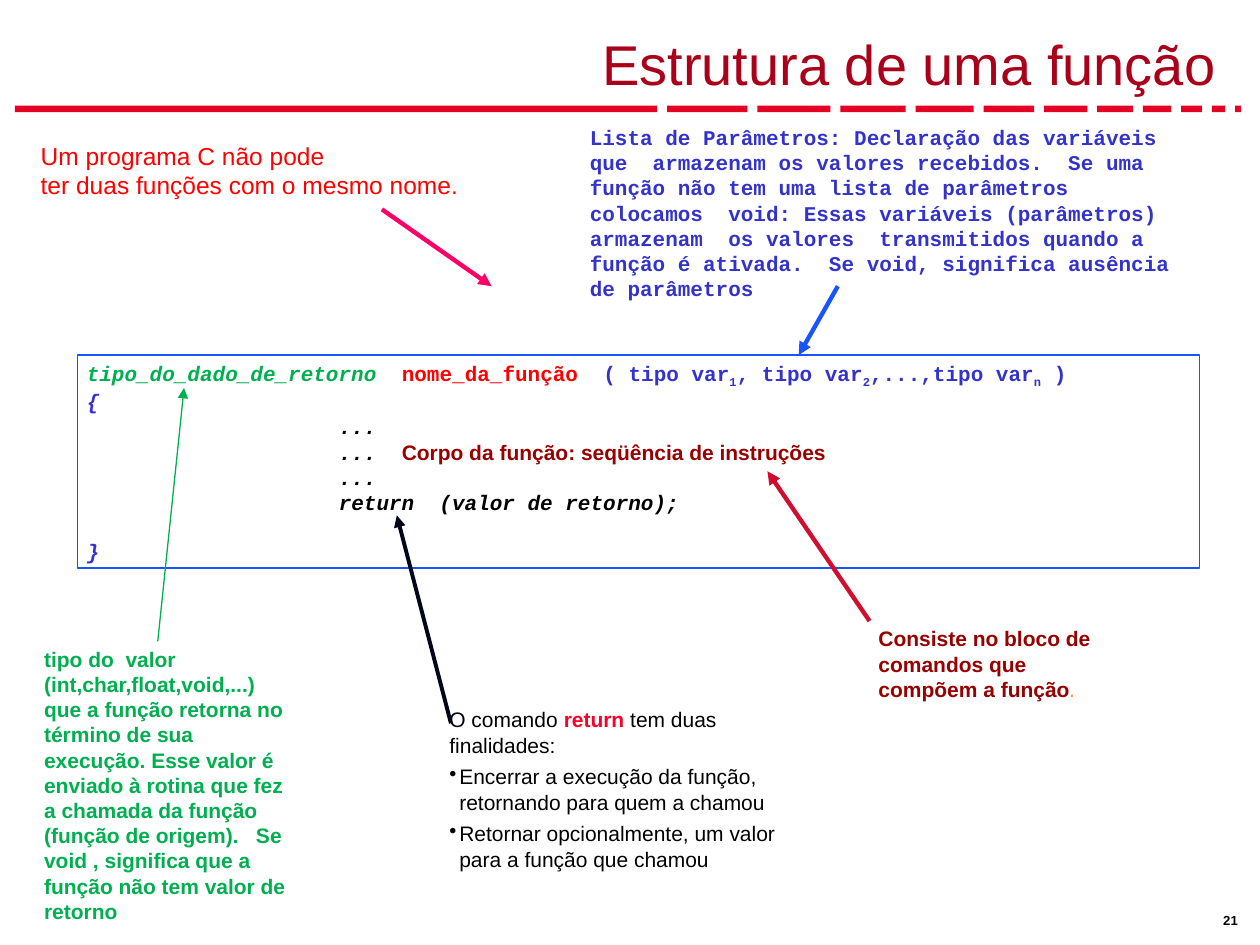
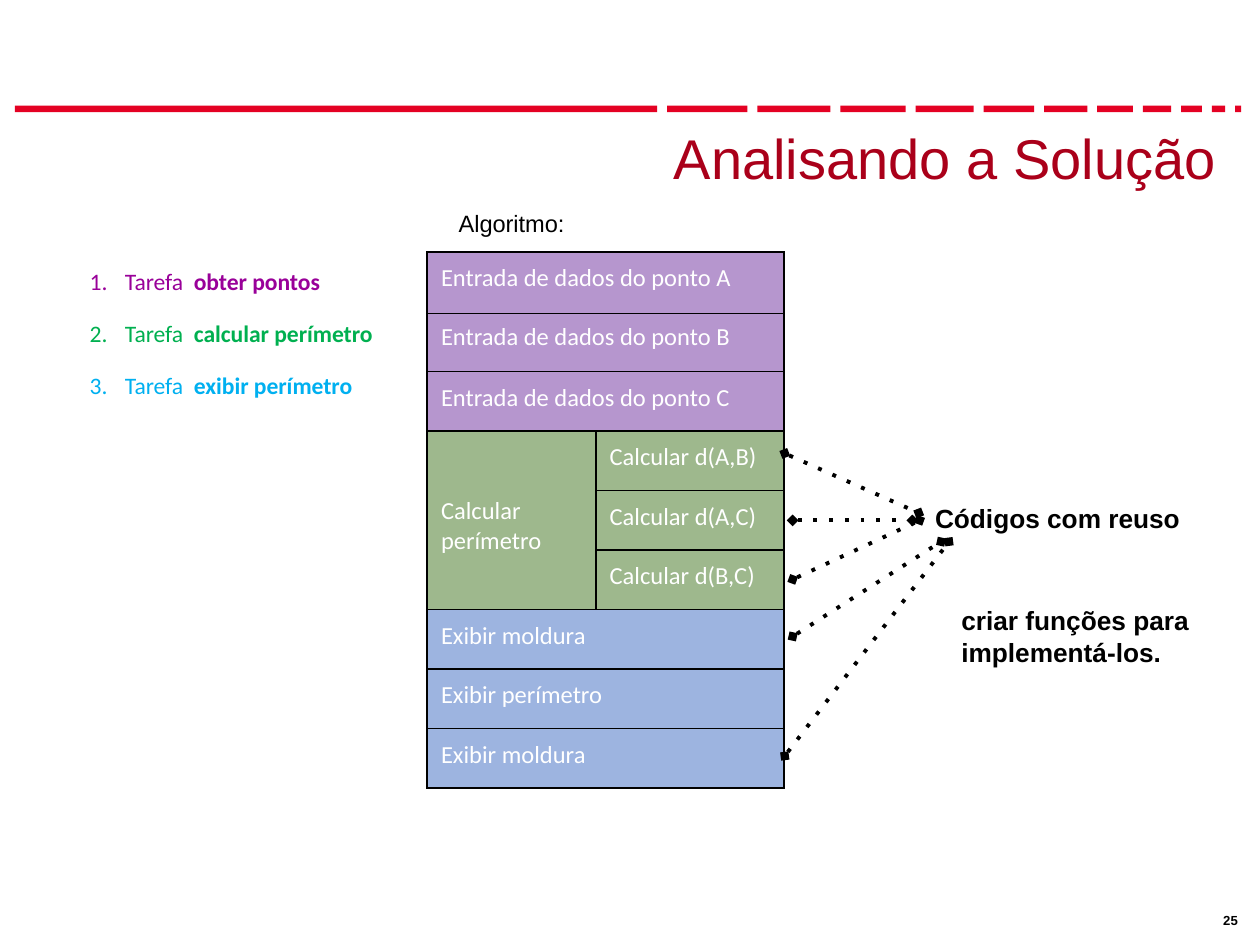
from lxml import etree
from pptx import Presentation
from pptx.dml.color import RGBColor
from pptx.enum.shapes import MSO_CONNECTOR, MSO_SHAPE
from pptx.enum.text import MSO_ANCHOR, PP_ALIGN
from pptx.oxml.ns import qn
from pptx.util import Cm, Pt

RECT = MSO_SHAPE.RECTANGLE
STRAIGHT = MSO_CONNECTOR.STRAIGHT
TOP, MIDDLE, BOTTOM = MSO_ANCHOR.TOP, MSO_ANCHOR.MIDDLE, MSO_ANCHOR.BOTTOM
LEFT, RIGHT = PP_ALIGN.LEFT, PP_ALIGN.RIGHT

ARIAL, CALIBRI, COURIER = "Arial", "Calibri", "Courier New"

BLACK = RGBColor(0x00, 0x00, 0x00)
WHITE = RGBColor(0xFF, 0xFF, 0xFF)
BAND_RED = RGBColor(0xE4, 0x01, 0x23)
TITLE_RED = RGBColor(0xAA, 0x00, 0x1A)
RED = RGBColor(0xFF, 0x00, 0x00)
KEYWORD_RED = RGBColor(0xFC, 0x01, 0x28)
ARROW_RED = RGBColor(0xCF, 0x0E, 0x30)
MAROON = RGBColor(0x99, 0x00, 0x00)
PINK = RGBColor(0xFF, 0x00, 0x66)
ORANGE = RGBColor(0xFF, 0x99, 0x33)
GREEN = RGBColor(0x00, 0xB0, 0x50)
BLUE = RGBColor(0x19, 0x55, 0xFF)
INDIGO = RGBColor(0x33, 0x33, 0xCC)
NAVY = RGBColor(0x00, 0x07, 0x1A)
PURPLE = RGBColor(0x99, 0x00, 0x99)
SKY = RGBColor(0x00, 0xB0, 0xF0)
INPUT_FILL = RGBColor(0x6F, 0x2F, 0x9F)
COMPUTE_FILL = RGBColor(0x53, 0x82, 0x35)
SHOW_FILL = RGBColor(0x44, 0x71, 0xC4)


def add_xml(parent, tag, **attrs):
    return etree.SubElement(parent, qn(tag), attrs)


def set_insets(tf, side=0.18, edge=0.1):
    tf.margin_left = tf.margin_right = Cm(side)
    tf.margin_top = tf.margin_bottom = Cm(edge)


def add_run(p, text, size, color, font=ARIAL, bold=False, italic=False, base=0):
    r = p.add_run()
    r.text = text
    f = r.font
    f.size, f.name, f.bold, f.italic = Pt(size), font, bold, italic
    f.color.rgb = color
    if base:
        f._element.set("baseline", str(base * 1000))


def add_text(slide, box, lines, size, color, font=ARIAL, bold=False,
             align=LEFT, anchor=TOP, side=0.18):
    sp = slide.shapes.add_textbox(*map(Cm, box))
    tf = sp.text_frame
    tf.word_wrap = True
    tf.vertical_anchor = anchor
    set_insets(tf, side)
    for i, line in enumerate(lines):
        p = tf.add_paragraph() if i else tf.paragraphs[0]
        p.alignment = align
        add_run(p, line, size, color, font, bold)
    return tf


def add_line(slide, box, ends, color, width, dash=None, head=None, tail=None):
    x, y = box[:2]
    x1, y1, x2, y2 = ends
    c = slide.shapes.add_connector(
        STRAIGHT, Cm(x + x1), Cm(y + y1), Cm(x + x2), Cm(y + y2))
    c.line.color.rgb = color
    c.line.width = Pt(width)
    sp_pr = c._element.spPr
    ln = sp_pr.find(qn("a:ln"))
    if dash:
        add_xml(ln, "a:prstDash", val=dash)
    if head:
        add_xml(ln, "a:headEnd", type=head)
    if tail:
        add_xml(ln, "a:tailEnd", type=tail)
    add_xml(sp_pr, "a:effectLst")


def set_bullet(p, color, tag, indent, **attrs):
    p_pr = p._p.get_or_add_pPr()
    p_pr.set("marL", str(Cm(indent)))
    p_pr.set("indent", str(-Cm(indent)))
    add_xml(add_xml(p_pr, "a:buClr"), "a:srgbClr", val=str(color))
    add_xml(p_pr, tag, **attrs)


def add_band(slide, box):
    x, y, first, height = box
    widths = [first] + [1.62 - 0.15 * i for i in range(11)]
    for width in widths:
        sp = slide.shapes.add_shape(RECT, Cm(x), Cm(y), Cm(width), Cm(height))
        sp.shadow.inherit = False
        sp.fill.solid()
        sp.fill.fore_color.rgb = BAND_RED
        sp.line.fill.background()
        x += width + 0.2


def new_slide(prs, title, title_box, number):
    slide = prs.slides.add_slide(prs.slide_layouts[6])
    add_band(slide, (0.3, 2.13, 12.95, 0.13))
    add_text(slide, (24.46, 18.29, 0.84, 0.51), [number], 7.5, BLACK,
             bold=True, side=0.2)
    add_text(slide, title_box, [title], 32, TITLE_RED,
             align=RIGHT, anchor=BOTTOM, side=0.2)
    return slide


def add_code_panel(slide, box):
    sp = slide.shapes.add_shape(RECT, *map(Cm, box))
    sp.shadow.inherit = False
    sp.fill.background()
    sp.line.color.rgb = BLUE
    sp.line.width = Pt(0.75)
    tf = sp.text_frame
    tf.word_wrap = True
    tf.vertical_anchor = TOP
    set_insets(tf)

    def code(p, text, color, italic=True, base=0):
        add_run(p, text, 12, color, COURIER, True, italic, base)

    p = tf.paragraphs[0]
    p.alignment = LEFT
    code(p, "tipo_do_dado_de_retorno  ", GREEN)
    code(p, "nome_da_função  ", RED, False)
    for text, sub in (("( tipo var", "1"), (", tipo var", "2"), (",...,tipo var", "n")):
        code(p, text, INDIGO, False)
        code(p, sub, INDIGO, False, -25)
    code(p, " )", INDIGO, False)

    body = ["...", "...\t", "...", "return  (valor de retorno);"]
    for text in ["{", *body, "}"]:
        p = tf.add_paragraph()
        p.alignment = LEFT
        if text in body:
            p_pr = p._p.get_or_add_pPr()
            p_pr.set("marL", str(Cm(5.08)))
            p_pr.set("indent", "0")
            if text.endswith("\t"):
                tabs = add_xml(p_pr, "a:tabLst")
                add_xml(tabs, "a:tab", pos=str(Cm(7.62)), algn="l")
        code(p, text, BLACK if text in body else INDIGO)
        if text.endswith("\t"):
            add_run(p, "Corpo da função: seqüência de instruções", 12, MAROON, bold=True)
    p.space_before = Pt(13.6)


def add_callout(slide, box, lines, color, size, ends, arrow_color, width,
                font=ARIAL, bold=True):
    tf = add_text(slide, box, lines, size, color, font, bold)
    add_line(slide, box, ends, arrow_color, width, tail="triangle")
    return tf


def add_return_note(slide, box):
    items = ["Encerrar a execução da função, retornando para quem a chamou",
             "Retornar opcionalmente, um valor para a função que chamou"]
    tf = add_text(slide, box, ["O comando "], 12, BLACK, side=0.2)
    p = tf.paragraphs[0]
    add_run(p, "return", 12, KEYWORD_RED, bold=True)
    add_run(p, " tem duas finalidades:", 12, BLACK)
    for item in items:
        p = tf.add_paragraph()
        set_bullet(p, BLACK, "a:buChar", 0.2, char="•")
        p.space_before = Pt(3.8)
        add_run(p, item, 12, BLACK)
    add_line(slide, box, (0.23, 0.43, -0.86, -3.76), NAVY, 2.25, tail="triangle")


def style_cell(cell, fill, opacity):
    cell.fill.solid()
    cell.fill.fore_color.rgb = fill
    tc_pr = cell._tc.get_or_add_tcPr()
    add_xml(tc_pr.find(".//" + qn("a:srgbClr")), "a:alpha", val=str(opacity * 1000))
    for i, tag in enumerate(("a:lnL", "a:lnR", "a:lnT", "a:lnB")):
        ln = etree.Element(qn(tag), w=str(Pt(1)))
        add_xml(add_xml(ln, "a:solidFill"), "a:srgbClr", val=str(BLACK))
        tc_pr.insert(i, ln)


def add_algorithm(slide, box):
    purple, green, blue = (INPUT_FILL, 50), (COMPUTE_FILL, 56), (SHOW_FILL, 52)
    rows = [("Entrada de dados do ponto A", "", purple),
            ("Entrada de dados do ponto B", "", purple),
            ("Entrada de dados do ponto C", "", purple),
            ("Calcular perímetro", "Calcular d(A,B)", green),
            ("", "Calcular d(A,C)", green),
            ("", "Calcular d(B,C)", green),
            ("Exibir moldura", "", blue),
            ("Exibir perímetro", "", blue),
            ("Exibir moldura", "", blue)]
    heights = [1.24, 1.17] + [1.2] * 7
    x, y, w, h = box
    add_text(slide, (x - 1.6, y - 0.97, 4.55, 0.76), ["Algoritmo:"], 13.5, BLACK,
             align=RIGHT)
    table = slide.shapes.add_table(len(rows), 2, *map(Cm, box)).table
    table.first_row = table.horz_banding = False
    table.columns[0].width, table.columns[1].width = Cm(3.4), Cm(w - 3.4)
    for i, (left, right, paint) in enumerate(rows):
        table.rows[i].height = Cm(heights[i])
        for j, text in enumerate((left, right)):
            cell = table.cell(i, j)
            style_cell(cell, *paint)
            cell.margin_left, cell.margin_top = Cm(0.28), Cm(0.18 if i == 1 else 0.23)
            cell.margin_right = cell.margin_bottom = 0
            if text:
                add_run(cell.text_frame.paragraphs[0], text, 14, WHITE, CALIBRI)
        if not right:
            table.cell(i, 0).merge(table.cell(i, 1))
    table.cell(3, 0).merge(table.cell(5, 0))
    table.cell(3, 0).vertical_anchor = MIDDLE


def add_tasks(slide, box):
    x, y, w, h = box
    tasks = [("obter pontos", PURPLE), ("calcular perímetro", GREEN),
             ("exibir perímetro", SKY)]
    for i, (task, color) in enumerate(tasks):
        tf = add_text(slide, (x, y + i * h / 3, w, 0.76), [], 13.5, color)
        p = tf.paragraphs[0]
        set_bullet(p, color, "a:buAutoNum", 0.71, type="arabicPeriod", startAt=str(i + 1))
        add_run(p, "Tarefa  ", 13.5, color, CALIBRI)
        add_run(p, task, 13.5, color, CALIBRI, True)


def add_reuse(slide, box):
    x, y = box[:2]
    for ends in ((0, 0, 2.7, 1.2), (0.16, 1.35, 2.57, 1.35), (0.16, 2.54, 2.72, 1.35),
                 (0.16, 3.69, 3.15, 1.78), (0, 6.1, 3.31, 1.78)):
        add_line(slide, box, ends, BLACK, 2.25, "dot", "diamond", "diamond")
    add_text(slide, (x + 2.85, y + 0.89, 5.46, 0.84), ["Códigos com reuso"],
             15, BLACK, bold=True)
    add_text(slide, (x + 3.38, y + 2.95, 5.46, 1.47),
             ["criar funções para implementá-los."], 15, BLACK, bold=True)


def build_structure(prs):
    slide = new_slide(prs, "Estrutura de uma função", (0.79, 0.2, 23.93, 1.85), "21")
    add_code_panel(slide, (1.57, 7.16, 22.61, 4.29))
    add_callout(slide, (0.64, 2.74, 11.05, 1.4),
                ["Um programa C não pode", "ter duas funções com o mesmo nome."],
                RED, 14, (7.06, 1.48, 9.27, 3.03), PINK, 2.5, bold=False)
    add_callout(slide, (0.71, 12.93, 5.31, 5.84),
                ["tipo do  valor (int,char,float,void,...) que a função retorna no "
                 "término de sua execução. Esse valor é enviado à rotina que fez a "
                 "chamada da função (função de origem).   Se void , significa que a "
                 "função não tem valor de retorno"],
                GREEN, 12, (2.47, 0, 3, -5.11), GREEN, 0.75)
    tf = add_callout(slide, (17.53, 12.52, 5.28, 1.73),
                     ["Consiste no bloco de comandos que compõem a função"],
                     MAROON, 12, (0, 0, -2.06, -3.02), ARROW_RED, 2.5)
    add_run(tf.paragraphs[0], ".", 9, ORANGE, bold=True)
    add_callout(slide, (11.71, 2.41, 12.5, 3.78),
                ["Lista de Parâmetros: Declaração das variáveis que  armazenam os "
                 "valores recebidos.  Se uma função não tem uma lista de parâmetros "
                 "colocamos  void: Essas variáveis (parâmetros)  armazenam  os "
                 "valores  transmitidos quando a função é ativada.  Se void, "
                 "significa ausência de parâmetros"],
                INDIGO, 12, (5.18, 3.36, 4.39, 4.75), BLUE, 2.5, COURIER)
    add_return_note(slide, (8.86, 14.15, 7.72, 4.11))


def build_analysis(prs):
    slide = new_slide(prs, "Analisando a Solução", (0.79, 2.54, 23.93, 1.4), "25")
    add_algorithm(slide, (8.61, 5.08, 7.19, 10.81))
    add_reuse(slide, (15.82, 9.14, 8.84, 6.1))
    add_tasks(slide, (1.63, 5.28, 6.3, 3.15))


def main():
    prs = Presentation()
    prs.slide_width, prs.slide_height = Cm(25.4), Cm(19.05)
    build_structure(prs)
    build_analysis(prs)
    prs.save("out.pptx")


if __name__ == "__main__":
    main()
